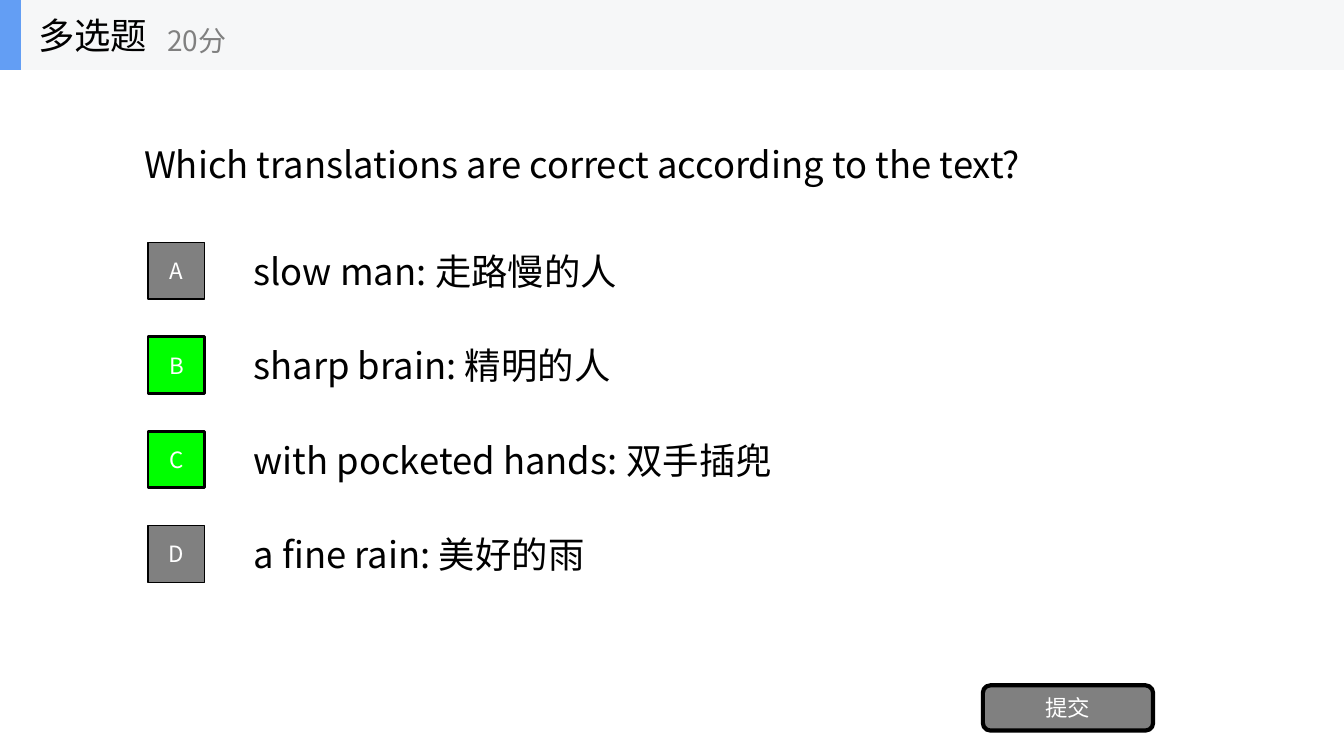
"""Build a multiple-choice question slide with four options and a submit button."""
from pptx import Presentation
from pptx import util as u
from pptx.dml.color import RGBColor
from pptx.enum import shapes, text
from pptx.oxml.ns import qn

TITLE, SCORE = "多选题", "20分"
QUERY = "Which translations are correct according to the text?"
SUBMIT = "提交"
OPTIONS = [
    ("A", "slow man: 走路慢的人", False),
    ("B", "sharp brain: 精明的人", True),
    ("C", "with pocketed hands: 双手插兜", True),
    ("D", "a fine rain: 美好的雨", False),
]
FONT = "Noto Sans CJK SC"
COLORS = {
    "ink": "000000", "white": "FFFFFF", "gray": "808080",
    "right": "00FF00", "band": "F6F7F8", "accent": "639EF4",
}
WIDTH, HEIGHT, BAND = 33.87, 19.05, 1.76
TOP, PITCH, ROW = 5.93, 2.38, 1.78
SIDE = 1.43
RECT = shapes.MSO_SHAPE.RECTANGLE
ROUND = shapes.MSO_SHAPE.ROUNDED_RECTANGLE


def color(name):
    return RGBColor.from_string(COLORS[name])


def write(shape, words, size=26, ink="ink", center=False):
    frame = shape.text_frame
    frame.word_wrap = True
    frame.vertical_anchor = text.MSO_ANCHOR.MIDDLE
    line = frame.paragraphs[0]
    line.alignment = text.PP_ALIGN.CENTER if center else text.PP_ALIGN.LEFT
    run = line.add_run()
    run.text = words
    run.font.size = u.Pt(size)
    run.font.name = FONT
    run.font.color.rgb = color(ink)
    east = run.font._element.makeelement(qn("a:ea"), {"typeface": FONT})
    run.font._element.find(qn("a:latin")).addnext(east)


def label(home, box, words, **style):
    write(home.add_textbox(*map(u.Cm, box)), words, **style)


def block(home, box, fill, kind=RECT, edge=0, words=""):
    shape = home.add_shape(kind, *map(u.Cm, box))
    shape.shadow.inherit = False
    shape.fill.solid()
    shape.fill.fore_color.rgb = color(fill)
    if edge:
        shape.line.color.rgb = color("ink")
        shape.line.width = u.Pt(edge)
    else:
        shape.line.fill.background()
    if words:
        write(shape, words, size=16, ink="white", center=True)


def main():
    deck = Presentation()
    deck.slide_width, deck.slide_height = u.Cm(WIDTH), u.Cm(HEIGHT)
    page = deck.slides.add_slide(deck.slide_layouts[6]).shapes

    label(page, (3.38, 2.36, 27.1, 3.56), QUERY)
    for i, (key, words, right) in enumerate(OPTIONS):
        top = TOP + i * PITCH
        label(page, (6.14, top, 23.71, ROW), words)
        block(page, (3.73, top + (ROW - SIDE) / 2, SIDE, SIDE),
              "right" if right else "gray", edge=2 if right else 1, words=key)
    block(page, (24.77, 17.27, 4.29, 1.14), "gray", kind=ROUND, edge=3, words=SUBMIT)

    head = page.add_group_shape().shapes
    block(head, (0, 0, WIDTH, BAND), "band")
    block(head, (0, 0, 0.53, BAND), "accent")
    label(head, (0.71, 0, 5.28, BAND), TITLE)
    label(head, (3.97, 0.31, 6.35, 1.43), SCORE, size=20, ink="gray")
    deck.save("out.pptx")


if __name__ == "__main__":
    main()
